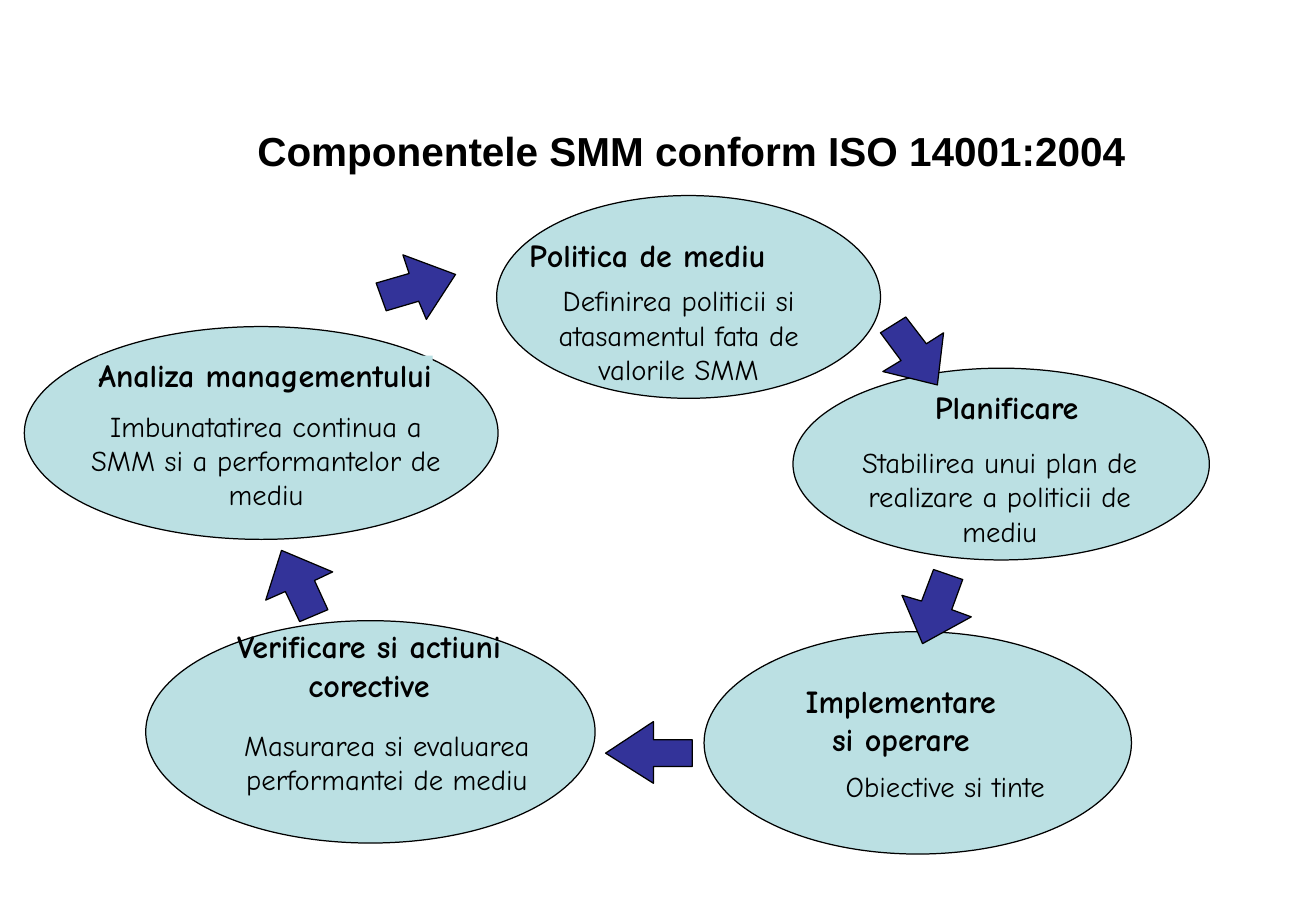
from pptx import Presentation
from pptx.dml.color import RGBColor
from pptx.enum.shapes import MSO_SHAPE
from pptx.enum.text import MSO_ANCHOR, MSO_AUTO_SIZE, PP_ALIGN
from pptx.util import Cm, Pt

COLORS = {"oval": "BBE0E3", "arrow": "333399", "ink": "000000"}

FONTS = {
    "title": {"name": "Arial", "size": Pt(24), "bold": True},
    "heading": {"name": "Comic Neue", "size": Pt(19), "bold": True},
    "detail": {"name": "Comic Neue", "size": Pt(17), "bold": False},
}

TIGHT = (0, 0)
PADDED = (0.25, 0.13)
LEFT, CENTER = PP_ALIGN.LEFT, PP_ALIGN.CENTER

# Left, top, width, height in centimetres
OVALS = [
    (0.51, 6.83, 9.91, 4.45),
    (14.73, 13.21, 8.94, 4.65),
    (16.59, 7.7, 8.71, 4.01),
    (10.39, 4.09, 8.03, 4.24),
    (3.05, 12.98, 9.4, 4.65),
]

# Text, box, alignment, padding, wrap, fill
HEADINGS = [
    ("Analiza managementului", (2.06, 7.44, 6.99, 0.81), LEFT, TIGHT, False, "oval"),
    ("Implementare\nsi operare", (16.84, 14.25, 4.01, 1.6), CENTER, TIGHT, False, None),
    ("Planificare", (19.56, 8.1, 4.8, 0.81), LEFT, TIGHT, True, None),
    ("Politica de mediu", (11.07, 4.93, 7.11, 0.81), LEFT, TIGHT, True, None),
    ("Verificare si actiuni corective", (4.42, 12.98, 6.6, 1.88), CENTER, PADDED, True, None),
]

DETAILS = [
    ("Definirea politicii si atasamentul fata de valorile SMM", (10.62, 5.79, 7.16, 2.44)),
    ("Stabilirea unui plan de realizare a politicii de mediu", (17.22, 9.17, 7.39, 2.44)),
    ("Masurarea si evaluarea performantei de mediu", (3.51, 15.09, 9.17, 1.7)),
    ("Obiective si tinte", (15.19, 15.95, 9.17, 0.99)),
    ("Imbunatatirea continua a SMM si a performantelor de mediu", (1.55, 8.41, 8.03, 2.44)),
]

# Corner points in centimetres, the tip last
ARROWS = [
    [(5.56, 12.55), (5.97, 12.37), (6.27, 13), (6.86, 12.75),
     (6.58, 12.14), (6.96, 11.96), (5.89, 11.51)],
    [(13.67, 15.09), (13.67, 15.47), (14.48, 15.47), (14.48, 16.03),
     (13.67, 16.03), (13.67, 16.38), (12.67, 15.75)],
    [(20.32, 12.9), (19.91, 12.75), (20.14, 12.12), (19.53, 11.91),
     (19.28, 12.57), (18.87, 12.45), (19.3, 13.46)],
    [(19.74, 6.96), (19.38, 7.19), (18.95, 6.63), (18.42, 6.96),
     (18.85, 7.54), (18.47, 7.77), (19.61, 8.05)],
    [(8.43, 5.33), (8.56, 5.72), (7.87, 5.92), (8.08, 6.5),
     (8.76, 6.3), (8.92, 6.68), (9.53, 5.74)],
]


def color(name):
    return RGBColor.from_string(COLORS[name])


def paint(shape, fill):
    shape.shadow.inherit = False
    shape.fill.solid()
    shape.fill.fore_color.rgb = color(fill)
    shape.line.color.rgb = color("ink")
    shape.line.width = Pt(0.75)


def write(shape, text, style, align, padding, wrap=True):
    """Fill the shape's text frame and format every paragraph alike."""
    frame = shape.text_frame
    horizontal, vertical = map(Cm, padding)
    frame_format = {
        "margin_left": horizontal, "margin_right": horizontal,
        "margin_top": vertical, "margin_bottom": vertical,
        "word_wrap": wrap, "auto_size": MSO_AUTO_SIZE.NONE,
    }
    for name, value in frame_format.items():
        setattr(frame, name, value)
    frame.text = text
    for paragraph in frame.paragraphs:
        paragraph.alignment = align
        for name, value in FONTS[style].items():
            setattr(paragraph.font, name, value)
        paragraph.font.color.rgb = color("ink")


def set_title(slide, text):
    title = slide.shapes.title
    title.left, title.top, title.width, title.height = map(Cm, (3.43, 1.5, 22.3, 2.29))
    write(title, text, "title", CENTER, PADDED)
    title.text_frame.vertical_anchor = MSO_ANCHOR.BOTTOM


def add_oval(slide, box):
    paint(slide.shapes.add_shape(MSO_SHAPE.OVAL, *map(Cm, box)), "oval")


def add_text(slide, text, box, style, align=CENTER, padding=PADDED, wrap=True, fill=None):
    shape = slide.shapes.add_textbox(*map(Cm, box))
    write(shape, text, style, align, padding, wrap)
    if fill:
        shape.fill.solid()
        shape.fill.fore_color.rgb = color(fill)


def add_arrow(slide, points):
    start, *corners = [(Cm(x), Cm(y)) for x, y in points]
    builder = slide.shapes.build_freeform(*start)
    builder.add_line_segments(corners, close=True)
    paint(builder.convert_to_shape(), "arrow")


def main():
    presentation = Presentation()
    presentation.slide_width = Cm(27.53)
    presentation.slide_height = Cm(19.05)
    slide = presentation.slides.add_slide(presentation.slide_layouts[5])

    set_title(slide, "Componentele SMM conform ISO 14001:2004 ")
    for box in OVALS:
        add_oval(slide, box)
    for text, box, *layout in HEADINGS:
        add_text(slide, text, box, "heading", *layout)
    for points in ARROWS:
        add_arrow(slide, points)
    for text, box in DETAILS:
        add_text(slide, text, box, "detail")

    presentation.save("out.pptx")


if __name__ == "__main__":
    main()
